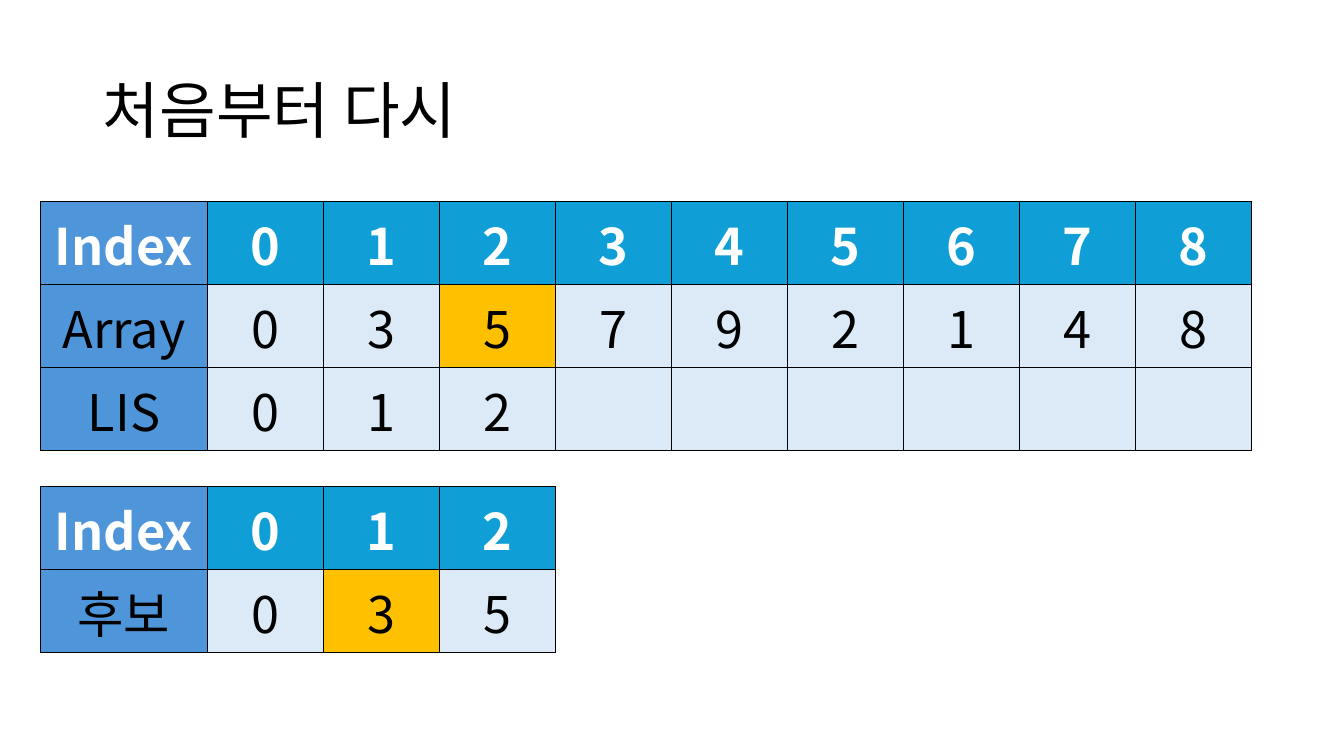
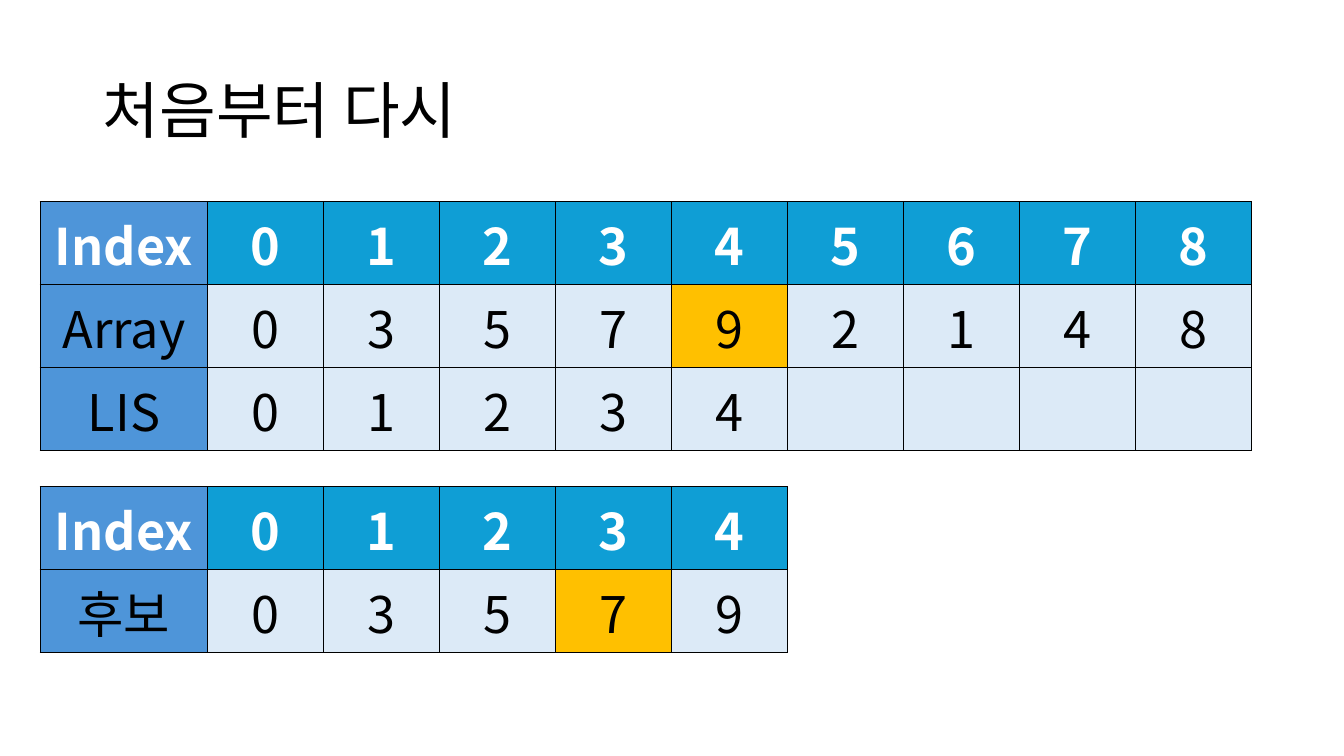
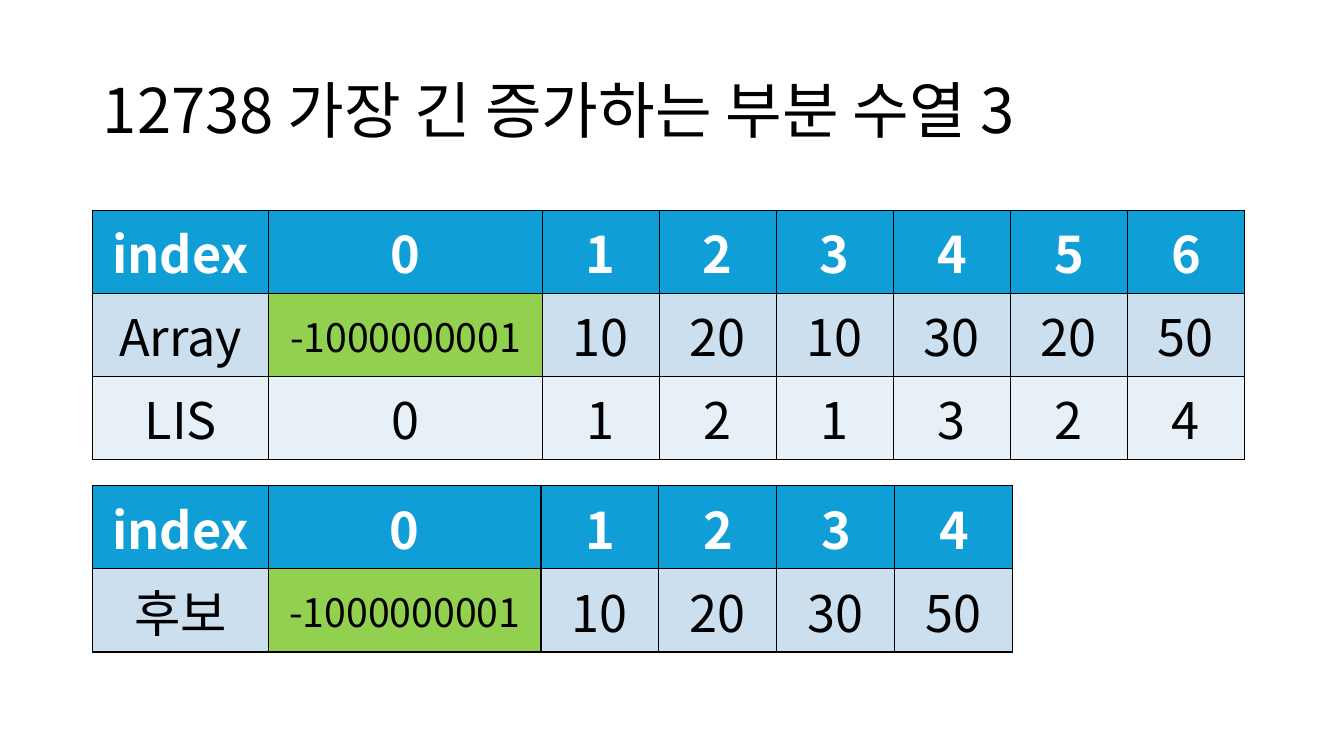
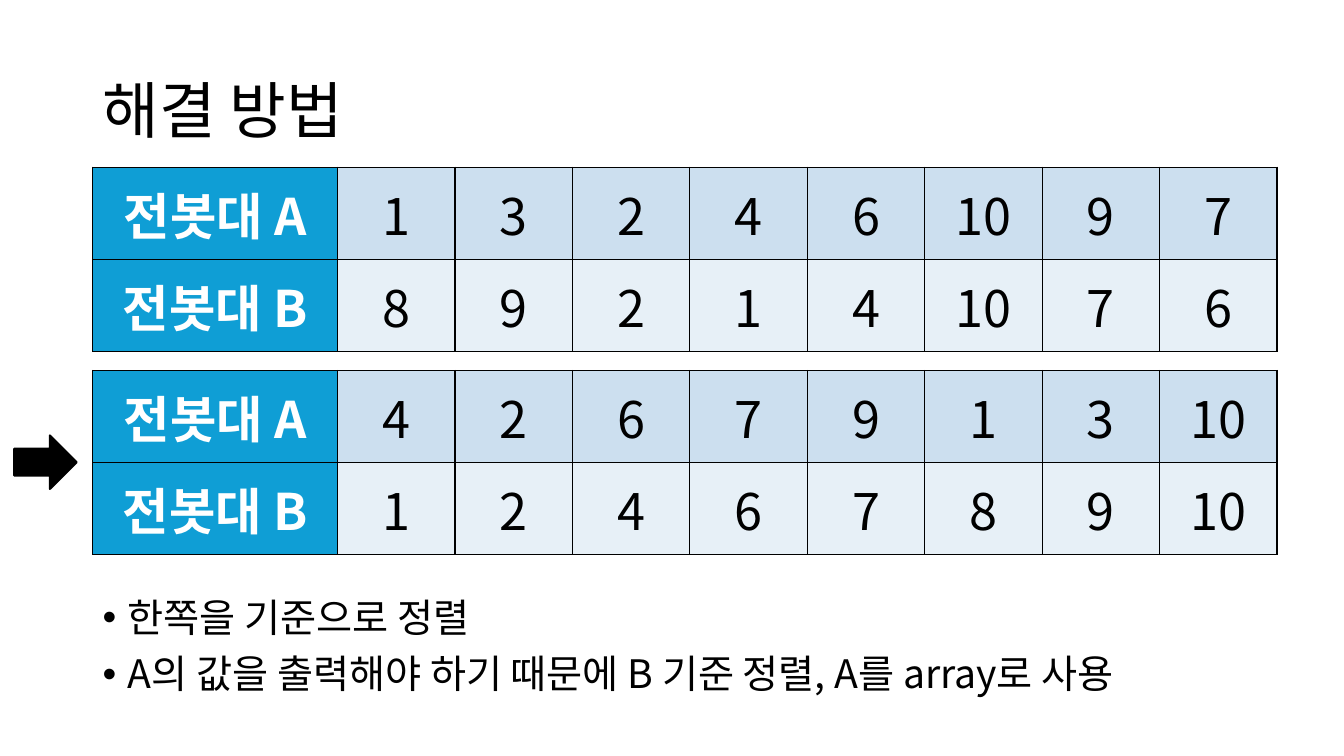
from dataclasses import dataclass, field

from lxml.etree import SubElement
from pptx import Presentation
from pptx.dml.color import RGBColor
from pptx.enum.shapes import MSO_SHAPE as Preset
from pptx.enum.text import MSO_ANCHOR as Anchor, MSO_AUTO_SIZE as AutoSize, PP_ALIGN as Align
from pptx.oxml import parse_xml
from pptx.oxml.ns import nsdecls, qn
from pptx.slide import Slide
from pptx.table import _Cell as Cell
from pptx.text.text import _Paragraph as Paragraph
from pptx.util import Emu, Inches, Pt

FONT = "Noto Sans CJK KR"
COLORS = {
    "black": "000000",
    "white": "FFFFFF",
    "header": "0F9ED5",
    "label": "4E95D9",
    "pale": "DCEAF7",
    "band": "CCDFEF",
    "light_band": "E7F0F7",
    "current": "FFC000",
    "sentinel": "92D050",
}

# The slide is a grid of 100 columns by 100 rows.
SLIDE_WIDTH, SLIDE_HEIGHT = Inches(13.333), Inches(7.5)
WIDE_LEFT, TEXT_LEFT, TEXT_WIDTH = 3, 6.9, 86.25
ROW_HEIGHT, TALL_ROW_HEIGHT = 10.97, 12.2
LONG_VALUE = 8


@dataclass(frozen=True)
class RowStyle:
    label_fill: str
    fill: str
    label_is_heading: bool = False
    values_are_headings: bool = False


INDEX = RowStyle("label", "header", True, True)
VALUES = RowStyle("label", "pale")
BLUE_INDEX = RowStyle("header", "header", True, True)
BAND = RowStyle("band", "band")
LIGHT_BAND = RowStyle("light_band", "light_band")
POLE_A = RowStyle("header", "band", True)
POLE_B = RowStyle("header", "light_band", True)


@dataclass(frozen=True)
class Row:
    style: RowStyle
    label: str
    values: str


@dataclass(frozen=True)
class Grid:
    left: float
    top: float
    label_width: float
    value_width: float
    rows: list[Row]
    row_height: float = ROW_HEIGHT
    first_value_width: float | None = None
    highlights: dict[tuple[int, int], str] = field(default_factory=dict)

    def column_widths(self) -> list[float]:
        count = max(len(row.values.split()) for row in self.rows)
        first = self.first_value_width or self.value_width
        return [self.label_width, first] + [self.value_width] * (count - 1)


def across(columns: float) -> Emu:
    return Emu(round(SLIDE_WIDTH * columns / 100))


def down(rows: float) -> Emu:
    return Emu(round(SLIDE_HEIGHT * rows / 100))


def box(left: float, top: float, width: float, height: float) -> tuple[Emu, Emu, Emu, Emu]:
    return across(left), down(top), across(width), down(height)


def rgb(color: str) -> RGBColor:
    return RGBColor.from_string(COLORS[color])


def write(paragraph: Paragraph, text: str, *, size: float, color: str = "black",
          bold: bool = False, align: Align = Align.LEFT,
          line_spacing: float | None = None, space_before: float = 0) -> None:
    paragraph.alignment = align
    paragraph.space_before = Pt(space_before)
    if line_spacing:
        paragraph.line_spacing = line_spacing
    run = paragraph.add_run()
    run.text = text
    font = run.font
    font.name, font.size, font.bold = FONT, Pt(size), bold
    font.color.rgb = rgb(color)
    SubElement(run._r.get_or_add_rPr(), qn("a:ea"), typeface=FONT)


def add_titled_slide(presentation: Presentation, title: str) -> Slide:
    slide = presentation.slides.add_slide(presentation.slide_layouts[5])
    shape = slide.shapes.title
    shape.left, shape.top, shape.width, shape.height = box(TEXT_LEFT, 5.33, TEXT_WIDTH, 19.33)
    frame = shape.text_frame
    frame.vertical_anchor, frame.auto_size = Anchor.MIDDLE, AutoSize.NONE
    write(frame.paragraphs[0], title, size=44, line_spacing=0.9)
    return slide


def add_borders(cell: Cell) -> None:
    properties = cell._tc.get_or_add_tcPr()
    for position, side in enumerate(("lnL", "lnR", "lnT", "lnB")):
        properties.insert(position, parse_xml(
            f'<a:{side} {nsdecls("a")} w="{Pt(1)}"><a:solidFill>'
            f'<a:srgbClr val="{COLORS["black"]}"/></a:solidFill></a:{side}>'))


def fill_cell(cell: Cell, text: str, fill: str, heading: bool) -> None:
    cell.fill.solid()
    cell.fill.fore_color.rgb = rgb(fill)
    add_borders(cell)
    cell.vertical_anchor = Anchor.MIDDLE
    if text:
        write(cell.text_frame.paragraphs[0], text, size=28 if len(text) > LONG_VALUE else 36,
              color="white" if heading else "black", bold=heading, align=Align.CENTER)


def add_grid(slide: Slide, grid: Grid) -> None:
    widths = grid.column_widths()
    count = len(grid.rows)
    table = slide.shapes.add_table(
        count, len(widths),
        *box(grid.left, grid.top, sum(widths), count * grid.row_height)).table
    table.first_row = table.horz_banding = False
    for column, width in zip(table.columns, widths):
        column.width = across(width)
    for row_number, row in enumerate(grid.rows):
        table.rows[row_number].height = down(grid.row_height)
        style = row.style
        fill_cell(table.cell(row_number, 0), row.label, style.label_fill, style.label_is_heading)
        values = row.values.split()
        values += [""] * (len(widths) - 1 - len(values))
        for column_number, value in enumerate(values, start=1):
            fill = grid.highlights.get((row_number, column_number), style.fill)
            fill_cell(table.cell(row_number, column_number), value, fill,
                      style.values_are_headings)


def add_bullets(slide: Slide, lines: list[str]) -> None:
    frame = slide.shapes.add_textbox(*box(TEXT_LEFT, 78.53, TEXT_WIDTH, 16.27)).text_frame
    frame.word_wrap = True
    for number, line in enumerate(lines):
        paragraph = frame.add_paragraph() if number else frame.paragraphs[0]
        write(paragraph, line, size=28, line_spacing=0.9, space_before=10)
        properties = paragraph._p.get_or_add_pPr()
        properties.set("marL", str(Inches(0.25)))
        properties.set("indent", str(-Inches(0.25)))
        SubElement(properties, qn("a:buFont"), typeface="Arial")
        SubElement(properties, qn("a:buChar"), char="•")


def add_arrow(slide: Slide) -> None:
    arrow = slide.shapes.add_shape(Preset.RIGHT_ARROW, *box(1.05, 57.6, 4.65, 7.07))
    arrow.shadow.inherit = False
    arrow.fill.solid()
    arrow.fill.fore_color.rgb = arrow.line.color.rgb = rgb("black")
    arrow.line.width = Pt(1.5)


def add_search_step(presentation: Presentation, lengths: str, candidates: str,
                    current: int, compared: int) -> None:
    """Show one step: the current array column and the candidate it is compared with."""
    slide = add_titled_slide(presentation, "처음부터 다시")
    indexes = " ".join(str(index) for index in range(len(candidates.split())))
    add_grid(slide, Grid(WIDE_LEFT, 26.67, 12.45, 8.63, [
        Row(INDEX, "Index", "0 1 2 3 4 5 6 7 8"),
        Row(VALUES, "Array", "0 3 5 7 9 2 1 4 8"),
        Row(VALUES, "LIS", lengths),
    ], highlights={(1, current): "current"}))
    add_grid(slide, Grid(WIDE_LEFT, 64.4, 12.45, 8.63, [
        Row(INDEX, "Index", indexes),
        Row(VALUES, "후보", candidates),
    ], highlights={(1, compared): "current"}))


def add_sentinel_slide(presentation: Presentation) -> None:
    slide = add_titled_slide(presentation, "12738 가장 긴 증가하는 부분 수열 3")
    sentinel = {(1, 1): "sentinel"}
    add_grid(slide, Grid(TEXT_LEFT, 64.27, 13.1, 8.78, [
        Row(BLUE_INDEX, "index", "0 1 2 3 4"),
        Row(BAND, "후보", "-1000000001 10 20 30 50"),
    ], first_value_width=20.25, highlights=sentinel))
    add_grid(slide, Grid(TEXT_LEFT, 27.83, 13.1, 8.71, [
        Row(BLUE_INDEX, "index", "0 1 2 3 4 5 6"),
        Row(BAND, "Array", "-1000000001 10 20 10 30 20 50"),
        Row(LIGHT_BAND, "LIS", "0 1 2 1 3 2 4"),
    ], first_value_width=20.35, highlights=sentinel))


def add_solution_slide(presentation: Presentation) -> None:
    slide = add_titled_slide(presentation, "해결 방법")
    add_bullets(slide, [
        "한쪽을 기준으로 정렬",
        "A의 값을 출력해야 하기 때문에 B 기준 정렬, A를 array로 사용",
    ])
    add_arrow(slide)
    for top, pole_a, pole_b in (
        (22.13, "1 3 2 4 6 10 9 7", "8 9 2 1 4 10 7 6"),
        (48.99, "4 2 6 7 9 1 3 10", "1 2 4 6 7 8 9 10"),
    ):
        add_grid(slide, Grid(TEXT_LEFT, top, 18.22, 8.74, [
            Row(POLE_A, "전봇대 A", pole_a),
            Row(POLE_B, "전봇대 B", pole_b),
        ], row_height=TALL_ROW_HEIGHT))


def main() -> None:
    presentation = Presentation()
    presentation.slide_width, presentation.slide_height = SLIDE_WIDTH, SLIDE_HEIGHT
    add_search_step(presentation, "0 1 2", "0 3 5", current=3, compared=2)
    add_search_step(presentation, "0 1 2 3 4", "0 3 5 7 9", current=5, compared=4)
    add_sentinel_slide(presentation)
    add_solution_slide(presentation)
    presentation.save("out.pptx")


if __name__ == "__main__":
    main()
